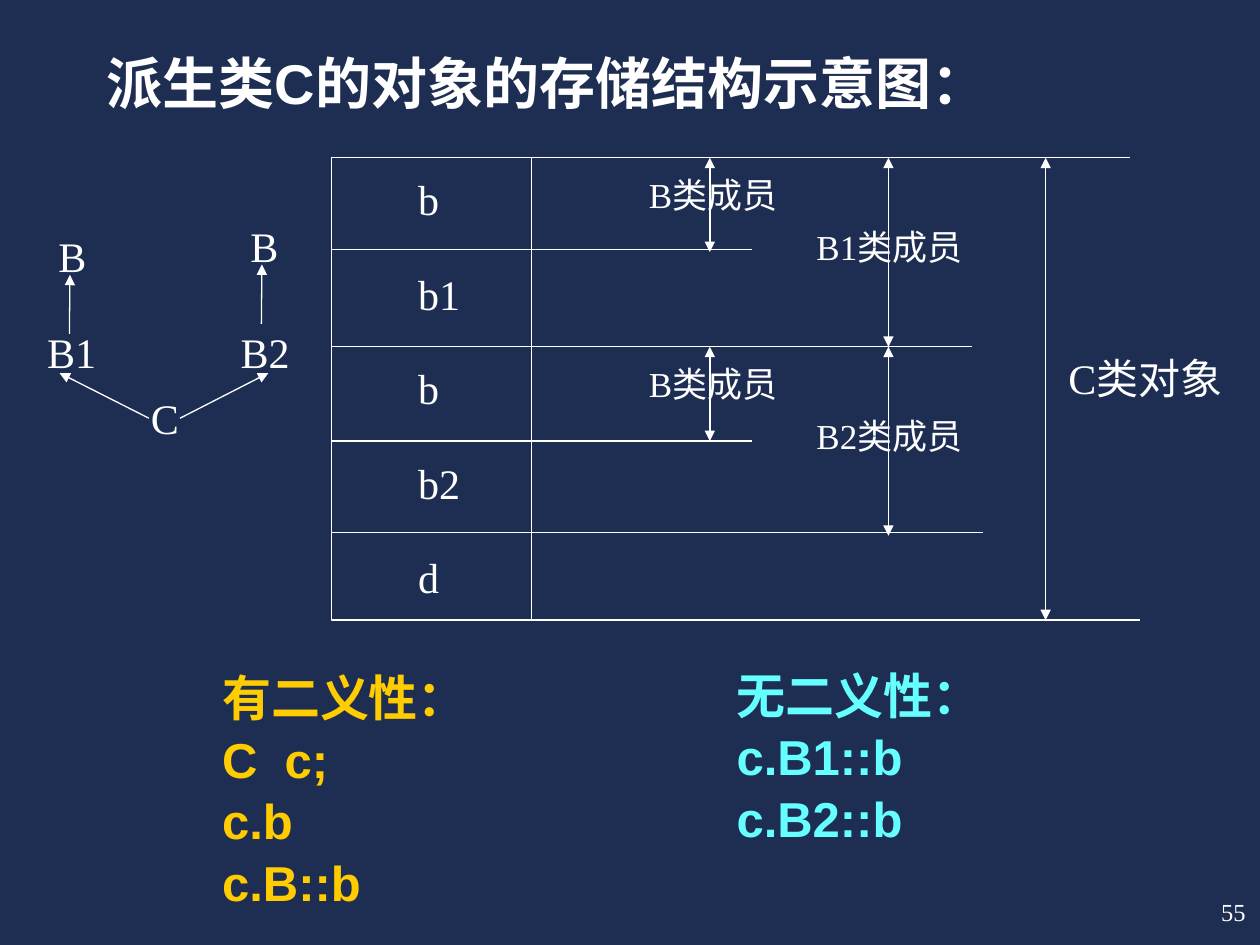
from dataclasses import dataclass

from pptx import Presentation
from pptx.dml.color import RGBColor
from pptx.enum.shapes import MSO_CONNECTOR
from pptx.enum.text import PP_ALIGN
from pptx.oxml.ns import qn
from pptx.slide import Slide
from pptx.util import Cm, Pt
from lxml.etree import SubElement

NAVY = RGBColor(0x1E, 0x2E, 0x53)
WHITE = RGBColor(0xFF, 0xFF, 0xFF)
GOLD = RGBColor(0xFF, 0xCC, 0x00)
CYAN = RGBColor(0x66, 0xFF, 0xFF)
SERIF = "Times New Roman"
SANS = "Arial"
LINE_WIDTH = Pt(0.75)

TABLE_LEFT, TABLE_TOP, TABLE_BOTTOM = 6.68, 3.18, 12.5
COLUMN_RIGHT = 10.72
ROW_PITCH = 1.905
LABEL_TOP = 3.38


@dataclass(frozen=True)
class Label:
    """Text in a box; lengths are centimetres, size is points."""
    lines: tuple[str, ...]
    left: float
    top: float
    width: float
    height: float
    size: float = 24
    font: str = SERIF
    color: RGBColor = WHITE
    bold: bool = False
    wrap: bool = True
    align: PP_ALIGN = PP_ALIGN.LEFT


@dataclass(frozen=True)
class Line:
    """Straight line in centimetres, with optional arrowheads."""
    start: tuple[float, float]
    end: tuple[float, float]
    head: bool = False
    tail: bool = False


def member_label(text: str, left: float, row: float) -> Label:
    return Label((text,), left, LABEL_TOP + row * ROW_PITCH, 4.6, 1.12, 20)


def class_label(text: str, left: float, top: float, width: float) -> Label:
    return Label((text,), left, top, width, 1.27, wrap=False)


def extent(x: float, top: float, bottom: float) -> Line:
    """Vertical double arrow that measures part of the object."""
    return Line((x, top), (x, bottom), head=True, tail=True)


ROW_LINES = [
    Line((TABLE_LEFT, y), (right, y))
    for y, right in [(5.03, 15.16), (6.99, 19.6), (8.89, 15.16), (10.74, 19.81)]
]
COLUMN_LINE = Line((COLUMN_RIGHT, TABLE_TOP), (COLUMN_RIGHT, TABLE_BOTTOM))
EXTENTS = [
    extent(14.31, TABLE_TOP, 5.08),
    extent(14.31, 6.99, 8.89),
    extent(17.91, TABLE_TOP, 6.99),
    extent(17.91, 6.99, 10.8),
    extent(21.08, TABLE_TOP, TABLE_BOTTOM),
]
INHERITANCE_ARROWS = [
    Line((3.63, 8.43), (5.41, 7.52), tail=True),
    Line((3, 8.43), (1.2, 7.52), tail=True),
    Line((5.27, 6.53), (5.28, 5.33), tail=True),
    Line((1.4, 6.73), (1.41, 5.54), tail=True),
]
CELL_LABELS = [
    Label((name,), 8.18, LABEL_TOP + row * ROW_PITCH, 0.5 + 0.5 * len(name), 1.27)
    for row, name in enumerate(["b", "b1", "b", "b2", "d"])
]
MEMBER_LABELS = [
    member_label("B类成员", 12.83, 0),
    member_label("B类成员", 12.83, 2),
    member_label("B1类成员", 16.21, 0.55),
    member_label("B2类成员", 16.21, 2.55),
    Label(("C类对象",), 21.29, 6.99, 3.81, 1.27),
]
CLASS_LABELS = [
    class_label("B", 0.93, 4.53, 1.05),
    class_label("B", 4.8, 4.33, 1.05),
    class_label("B1", 0.7, 6.45, 1.5),
    class_label("B2", 4.6, 6.45, 1.5),
    class_label("C", 2.79, 7.79, 1.05),
]
TEXT_LABELS = [
    Label(("派生类C的对象的存储结构示意图：",), 1.9, 0.85, 21.59, 2.33, 32, SANS, bold=True),
    Label(("有二义性：", "C  c;", "c.b", "c.B::b"),
          4.23, 13.34, 8.47, 5.08, 28, SANS, GOLD, True),
    Label(("无二义性：", "c.B1::b", "c.B2::b"),
          14.6, 13.29, 9.1, 5.6, 28, SANS, CYAN, True),
    Label(("55",), 23.66, 17.95, 1.7, 0.86, 14, align=PP_ALIGN.RIGHT),
]


def draw_label(slide: Slide, label: Label) -> None:
    box = slide.shapes.add_textbox(
        Cm(label.left), Cm(label.top), Cm(label.width), Cm(label.height))
    frame = box.text_frame
    frame.word_wrap = label.wrap
    for index, text in enumerate(label.lines):
        paragraph = frame.paragraphs[0] if index == 0 else frame.add_paragraph()
        paragraph.alignment = label.align
        if index > 0:
            paragraph.space_before = Pt(1.5)
        run = paragraph.add_run()
        run.text = text
        run.font.name = label.font
        run.font.size = Pt(label.size)
        run.font.bold = label.bold
        run.font.color.rgb = label.color


def draw_line(slide: Slide, line: Line) -> None:
    connector = slide.shapes.add_connector(
        MSO_CONNECTOR.STRAIGHT, *(Cm(value) for value in line.start + line.end))
    connector.line.color.rgb = WHITE
    connector.line.width = LINE_WIDTH
    properties = connector.line._get_or_add_ln()
    for shown, tag in [(line.head, "a:headEnd"), (line.tail, "a:tailEnd")]:
        if shown:
            SubElement(properties, qn(tag), type="triangle")
    SubElement(connector._element.spPr, qn("a:effectLst"))


def draw_table_outline(slide: Slide) -> None:
    """Draw the frame of the storage table, open on the right."""
    builder = slide.shapes.build_freeform(Cm(22.78), Cm(TABLE_TOP))
    corners = [(TABLE_LEFT, TABLE_TOP), (TABLE_LEFT, TABLE_BOTTOM), (22.98, TABLE_BOTTOM)]
    builder.add_line_segments([(Cm(x), Cm(y)) for x, y in corners], close=False)
    outline = builder.convert_to_shape()
    outline.shadow.inherit = False
    outline.fill.background()
    outline.line.color.rgb = WHITE
    outline.line.width = LINE_WIDTH


def main() -> None:
    presentation = Presentation()
    presentation.slide_width = Cm(25.4)
    presentation.slide_height = Cm(19.05)
    slide = presentation.slides.add_slide(presentation.slide_layouts[6])
    slide.background.fill.solid()
    slide.background.fill.fore_color.rgb = NAVY

    draw_table_outline(slide)
    for line in [COLUMN_LINE, *ROW_LINES, *EXTENTS, *INHERITANCE_ARROWS]:
        draw_line(slide, line)
    for label in CELL_LABELS + MEMBER_LABELS + CLASS_LABELS + TEXT_LABELS:
        draw_label(slide, label)
    presentation.save("out.pptx")


if __name__ == "__main__":
    main()
